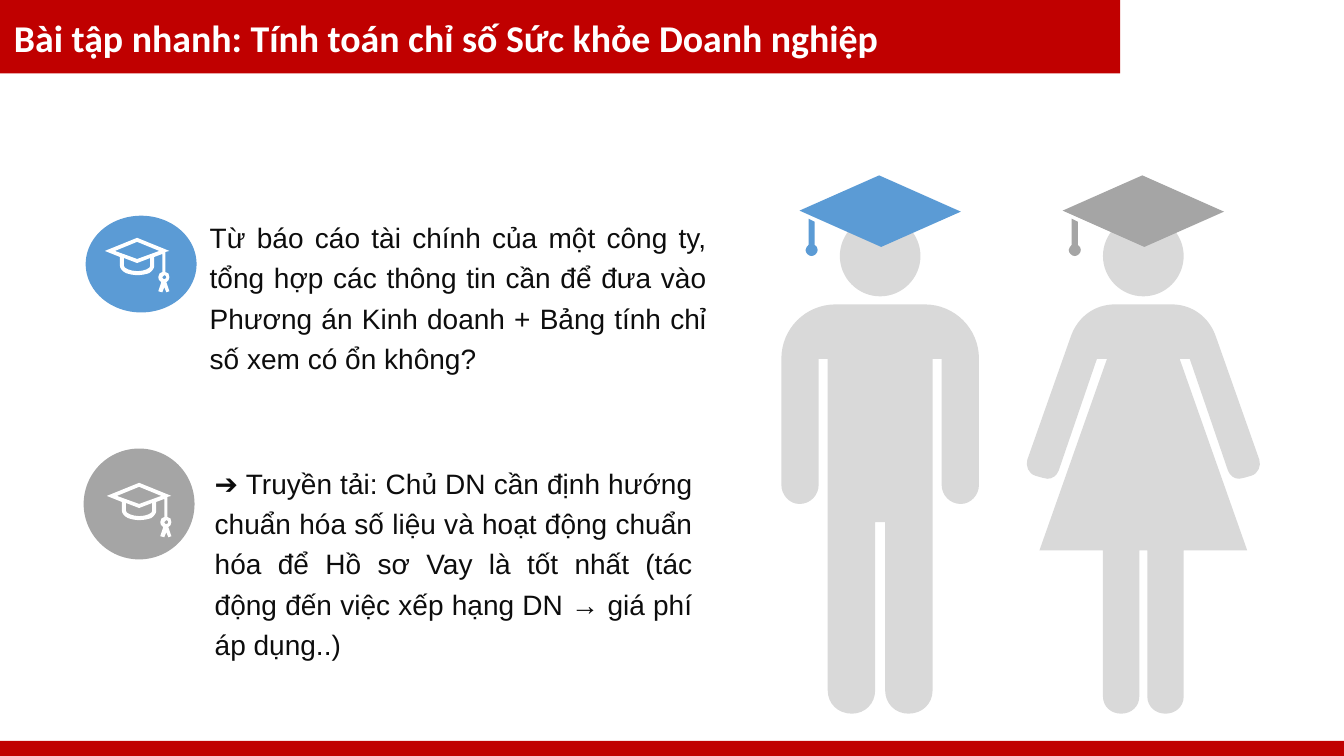
from dataclasses import dataclass

from pptx import Presentation, util as u
from pptx.dml.color import RGBColor
from pptx.enum import shapes, text
from pptx.oxml import ns

RED = RGBColor(0xC0, 0x00, 0x00)
BLUE = RGBColor(0x5B, 0x9B, 0xD5)
GREY = RGBColor(0xA5, 0xA5, 0xA5)
PALE = RGBColor(0xD9, 0xD9, 0xD9)
WHITE = RGBColor(0xFF, 0xFF, 0xFF)
INK = RGBColor(0x0D, 0x0D, 0x0D)

Point = tuple[float, float]

# Outlines: M, L and C as in SVG, x measured from the centre line.
# The head and both bodies give the right half only.
HEAD = "M 0 2.14 C .22 2.14 .4 2.32 .4 2.54 C .4 2.76 .22 2.94 0 2.94"
MAN = """M .44 3.02 C .74 3.02 .98 3.26 .98 3.56 L .98 4.81
    C .98 4.91 .9 5 .8 5 C .69 5 .61 4.91 .61 4.81 L .61 3.56 L .52 3.56
    L .52 6.85 C .52 6.98 .42 7.08 .28 7.08 C .15 7.08 .05 6.98 .05 6.85
    L .05 5.18"""
WOMAN = """M .28 3.02 C .48 3.02 .65 3.14 .72 3.34 L 1.15 4.56
    C 1.17 4.62 1.14 4.7 1.07 4.72 L 1 4.74 C .98 4.75 .97 4.75 .95 4.75
    C .9 4.75 .86 4.72 .84 4.67 L .46 3.56 L .36 3.56 L 1.03 5.46
    L .4 5.46 L .4 6.91 C .4 7.01 .32 7.08 .22 7.08
    C .12 7.08 .04 7.01 .04 6.91 L .04 5.46"""
CAP = """M -.01 1.74 L -.8 2.09 L .01 2.45 L .8 2.1
    M -.71 2.17 L -.71 2.43 C -.72 2.44 -.74 2.46 -.74 2.48
    C -.74 2.51 -.71 2.54 -.68 2.54 C -.65 2.54 -.62 2.51 -.62 2.48
    C -.62 2.46 -.63 2.44 -.65 2.43 L -.65 2.2"""
ICON = """M .32 .39 C .32 .36 .31 .34 .28 .34 L .28 .14 L .32 .13 L 0 0
    L -.32 .13 L -.17 .19 L -.17 .28 C -.17 .3 -.15 .33 -.11 .35
    C -.08 .36 -.04 .37 0 .37 C .05 .37 .09 .36 .12 .35
    C .15 .33 .17 .3 .17 .28 L .17 .19 L .25 .16 L .25 .34
    C .23 .34 .21 .36 .21 .39 C .21 .41 .22 .43 .24 .44 L .21 .53
    L .25 .54 L .27 .49 L .29 .54 L .32 .53 L .29 .44
    C .31 .43 .32 .41 .32 .39
    M 0 .21 L -.22 .13 L 0 .04 L .22 .13
    M .13 .28 C .13 .3 .08 .33 0 .33 C -.07 .33 -.13 .3 -.13 .28
    L -.13 .2 L 0 .25 L .13 .2
    M .27 .37 C .28 .37 .29 .38 .29 .39 C .29 .4 .28 .41 .27 .41
    C .26 .41 .25 .4 .25 .39 C .25 .38 .26 .37 .27 .37"""


@dataclass
class Box:
    left: float
    top: float
    width: float
    height: float

    def place(self) -> list[u.Length]:
        """The four lengths that the add methods expect."""
        return [u.Inches(n) for n in
                (self.left, self.top, self.width, self.height)]


@dataclass
class Loop:
    """Points of a closed outline; a line takes one of them, a curve three."""
    points: list[Point]
    sizes: list[int]

    def mirror(self) -> "Loop":
        """Close a right half with its reflection."""
        left = [(-x, y) for x, y in reversed(self.points)]
        return Loop(self.points + left, self.sizes + [1] + self.sizes[::-1])


@dataclass
class Figure:
    mid: float
    body: str
    cap: RGBColor


@dataclass
class Item:
    disc: Box
    color: RGBColor
    icon: Point
    box: Box
    words: str


FIGURES = [Figure(8.73, MAN, BLUE), Figure(11.34, WOMAN, GREY)]
ITEMS = [
    Item(Box(0.85, 2.14, 1.1, 0.96), BLUE, (1.36, 2.36),
         Box(2.03, 2.09, 5.03, 1.63),
         "Từ báo cáo tài chính của một công ty, tổng hợp các thông tin cần "
         "để đưa vào Phương án Kinh doanh + Bảng tính chỉ số xem có ổn "
         "không?"),
    Item(Box(0.83, 4.45, 1.1, 1.1), GREY, (1.38, 4.79),
         Box(2.08, 4.53, 4.84, 2.03),
         "➔ Truyền tải: Chủ DN cần định hướng chuẩn hóa số liệu và hoạt động "
         "chuẩn hóa để Hồ sơ Vay là tốt nhất (tác động đến việc xếp hạng DN "
         "→ giá phí áp dụng..)"),
]


def trace(path: str) -> list[Loop]:
    """Read an outline into its loops."""
    loops: list[Loop] = []
    marks = iter(path.split())
    for mark in marks:
        size = 3 if mark == "C" else 1
        ends = [(float(next(marks)), float(next(marks)))
                for _ in range(size)]
        if mark == "M":
            loops.append(Loop(ends, []))
        else:
            loops[-1].points += ends
            loops[-1].sizes.append(size)
    return loops


def paint(shape, color: RGBColor) -> None:
    shape.shadow.inherit = False
    shape.fill.solid()
    shape.fill.fore_color.rgb = color
    shape.line.fill.background()


def bend(shape, loops: list[Loop]) -> None:
    """Join each run of three lines that stands for a curve."""
    lines = shape._element.iter(ns.qn("a:lnTo"))
    rest = iter(list(lines))
    for loop in loops:
        for size in loop.sizes:
            first, *more = [next(rest) for _ in range(size)]
            if more:
                first.tag = ns.qn("a:cubicBezTo")
            for line in more:
                first.append(line[0])
                line.getparent().remove(line)


def add_form(slide, loops: list[Loop], start: Point, color: RGBColor) -> None:
    """Draw loops as one freeform, moved to start."""
    moved = [[(u.Inches(start[0] + x), u.Inches(start[1] + y))
              for x, y in loop.points] for loop in loops]
    form = slide.shapes.build_freeform(*moved[0][0])
    for count, points in enumerate(moved):
        if count:
            form.move_to(*points[0])
        form.add_line_segments(points[1:], close=True)
    shape = form.convert_to_shape()
    bend(shape, loops)
    paint(shape, color)


def add_shape(slide, kind, box: Box, color: RGBColor) -> None:
    paint(slide.shapes.add_shape(kind, *box.place()), color)


def add_text(slide, box: Box, words: str, font: str, size: int,
             color: RGBColor):
    """Add a wrapped text box and return its frame."""
    frame = slide.shapes.add_textbox(*box.place()).text_frame
    frame.word_wrap = True
    frame.auto_size = text.MSO_AUTO_SIZE.SHAPE_TO_FIT_TEXT
    frame.text = words
    face = frame.paragraphs[0].runs[0].font
    face.name, face.size, face.color.rgb = font, u.Pt(size), color
    return frame


def add_item(slide, item: Item) -> None:
    add_shape(slide, shapes.MSO_SHAPE.OVAL, item.disc, item.color)
    add_form(slide, trace(ICON), item.icon, WHITE)
    frame = add_text(slide, item.box, item.words, "Arial", 20, INK)
    frame.margin_left = frame.margin_right = u.Inches(0.05)
    frame.margin_top = frame.margin_bottom = u.Inches(0.03)
    para = frame.paragraphs[0]
    para.alignment = text.PP_ALIGN.JUSTIFY
    para.line_spacing = 1.2


def main() -> None:
    deck = Presentation()
    deck.slide_width, deck.slide_height = u.Inches(13.33), u.Inches(7.5)
    slide = deck.slides.add_slide(deck.slide_layouts[6])
    for bar in (Box(0, 0, 11.11, 0.73), Box(0, 7.35, 13.33, 0.15)):
        add_shape(slide, shapes.MSO_SHAPE.RECTANGLE, bar, RED)
    for figure in FIGURES:
        halves = trace(figure.body) + trace(HEAD)
        start = (figure.mid, 0)
        add_form(slide, [half.mirror() for half in halves], start, PALE)
        add_form(slide, trace(CAP), start, figure.cap)
    for item in ITEMS:
        add_item(slide, item)
    title = add_text(slide, Box(0.04, 0.1, 11.8, 0.56),
                     "Bài tập nhanh: Tính toán chỉ số Sức khỏe Doanh nghiệp",
                     "Calibri", 27, WHITE)
    title.paragraphs[0].runs[0].font.bold = True
    deck.save("out.pptx")


if __name__ == "__main__":
    main()
